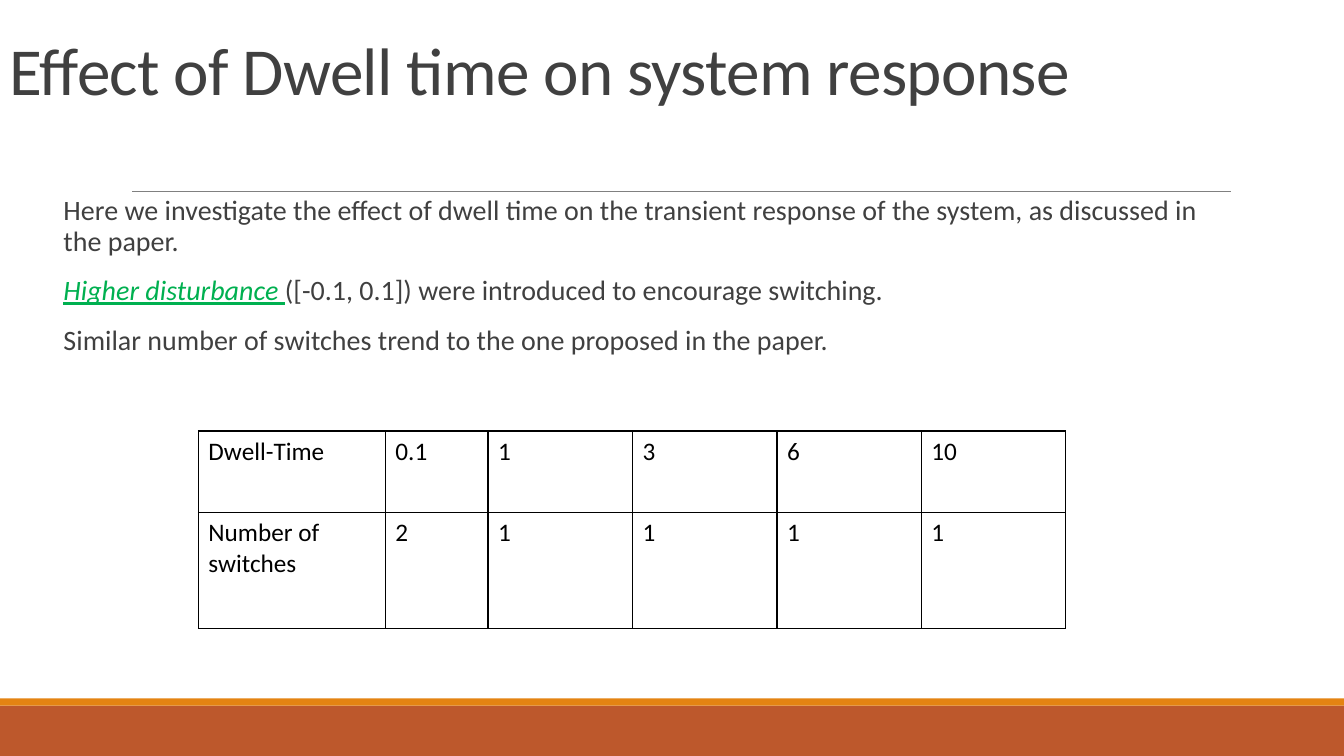
from lxml import etree
from pptx import Presentation
from pptx.dml.color import RGBColor
from pptx.enum import shapes, text
from pptx.oxml.ns import qn
from pptx.util import Cm, Pt

FONT = "Calibri"
DARK = "404040"


def color(hex_string):
    return RGBColor.from_string(hex_string)


def style_paragraph(paragraph, size, hex_string):
    paragraph.font.name = FONT
    paragraph.font.size = Pt(size)
    paragraph.font.color.rgb = color(hex_string)


presentation = Presentation()
presentation.slide_width = Cm(33.87)
presentation.slide_height = Cm(19.05)
slide = presentation.slides.add_slide(presentation.slide_layouts[6])

# Footer bands
for top, height, fill in [(17.78, 1.27, "BD582C"), (17.6, 0.18, "E48312")]:
    band = slide.shapes.add_shape(
        shapes.MSO_SHAPE.RECTANGLE, 0, Cm(top), presentation.slide_width, Cm(height))
    band.shadow.inherit = False
    band.fill.solid()
    band.fill.fore_color.rgb = color(fill)
    band.line.fill.background()

# Rule under the title
rule = slide.shapes.add_connector(
    shapes.MSO_CONNECTOR.STRAIGHT, Cm(3.33), Cm(4.82), Cm(31.01), Cm(4.82))
rule.line.color.rgb = color("808080")
rule.line.width = Pt(0.5)
etree.SubElement(rule._element.spPr, qn("a:effectLst"))

# Title
title = slide.shapes.add_textbox(0, Cm(-0.81), Cm(29.21), Cm(3.68))
title.text_frame.word_wrap = True
title.text_frame.vertical_anchor = text.MSO_ANCHOR.BOTTOM
paragraph = title.text_frame.paragraphs[0]
paragraph.line_spacing = 0.85
run = paragraph.add_run()
run.text = "Effect of Dwell time on system response"
run._r.get_or_add_rPr().set("spc", "-50")
style_paragraph(paragraph, 48, DARK)

# Body: each paragraph is an emphasised lead and the plain rest
body_paragraphs = [
    ("", "Here we investigate the effect of dwell time on the transient response "
         "of the system, as discussed in the paper."),
    ("Higher disturbance ", "([-0.1, 0.1]) were introduced to encourage switching."),
    ("", "Similar number of switches trend to the one proposed in the paper."),
]
body = slide.shapes.add_textbox(Cm(1.35), Cm(4.83), Cm(29.21), Cm(12.09))
frame = body.text_frame
frame.word_wrap = True
frame.margin_left = Cm(0.25)
frame.margin_right = 0
for index, (lead, rest) in enumerate(body_paragraphs):
    paragraph = frame.add_paragraph() if index else frame.paragraphs[0]
    paragraph.line_spacing = 0.9
    paragraph.space_before = Pt(12)
    paragraph.space_after = Pt(2)
    style_paragraph(paragraph, 20, DARK)
    if lead:
        run = paragraph.add_run()
        run.text = lead
        run.font.italic = True
        run.font.underline = True
        run.font.color.rgb = color("00B050")
    paragraph.add_run().text = rest

# Table
rows = [
    ["Dwell-Time", "0.1", "1", "3", "6", "10"],
    ["Number of switches", "2", "1", "1", "1", "1"],
]
column_widths = [4.71, 2.59] + [3.64] * 4
row_heights = [2.05, 2.93]
table = slide.shapes.add_table(
    len(rows), len(column_widths), Cm(5), Cm(10.86),
    Cm(sum(column_widths)), Cm(sum(row_heights))).table
table.first_row = False
table.horz_banding = False
for column, width in zip(table.columns, column_widths):
    column.width = Cm(width)
for row, height, values in zip(table.rows, row_heights, rows):
    row.height = Cm(height)
    for cell, value in zip(row.cells, values):
        cell.text = value
        style_paragraph(cell.text_frame.paragraphs[0], 18, "000000")
        properties = cell._tc.get_or_add_tcPr()
        for side in ("a:lnL", "a:lnR", "a:lnT", "a:lnB"):
            border = etree.SubElement(properties, qn(side), w=str(Pt(1)))
            border_fill = etree.SubElement(border, qn("a:solidFill"))
            etree.SubElement(border_fill, qn("a:srgbClr"), val="000000")
        cell.fill.background()

presentation.save("out.pptx")
